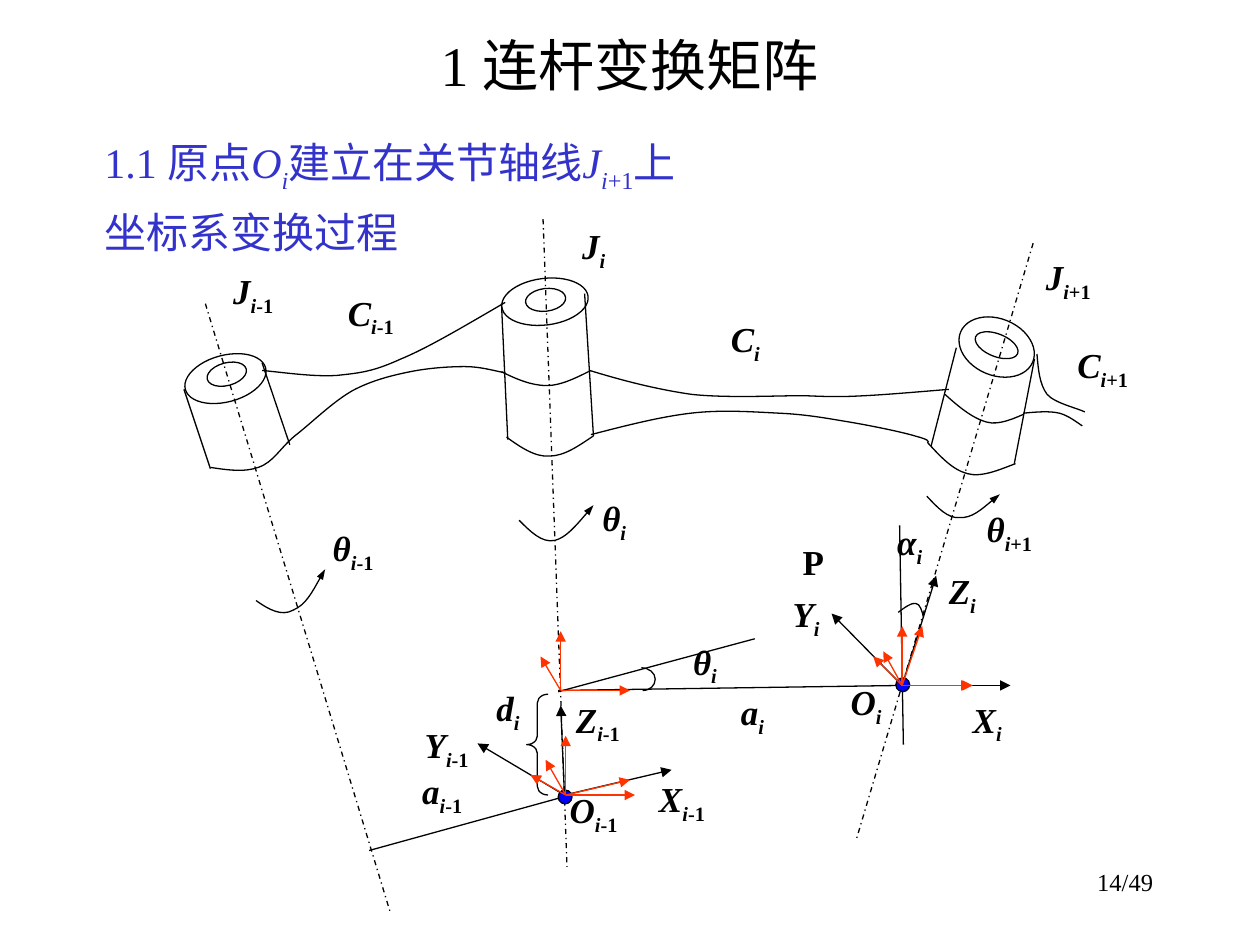
"""Builds the slide on link transformation matrices."""
from lxml import etree
from pptx import Presentation
from pptx.dml.color import RGBColor
from pptx.enum.dml import MSO_LINE
from pptx.enum.shapes import MSO_CONNECTOR, MSO_SHAPE
from pptx.enum.text import MSO_ANCHOR, PP_ALIGN
from pptx.oxml.ns import qn
from pptx.util import Inches, Pt

OVAL, BRACE = MSO_SHAPE.OVAL, MSO_SHAPE.LEFT_BRACE
STRAIGHT = MSO_CONNECTOR.STRAIGHT
DASH_DOT = MSO_LINE.DASH_DOT
LEFT, CENTER, RIGHT, JUSTIFY = (PP_ALIGN.LEFT, PP_ALIGN.CENTER,
                                PP_ALIGN.RIGHT, PP_ALIGN.JUSTIFY)
TOP, MIDDLE = MSO_ANCHOR.TOP, MSO_ANCHOR.MIDDLE
COLORS = {"ink": "000000", "heading": "3333CC", "origin": "0000FF", "frame": "FF3300"}
LABEL_SIZE = (0.58, 0.49)


def color(name):
    return RGBColor.from_string(COLORS[name])


def write(paragraph, text, size=20, ink="ink", bold=False, italic=False, sub=False):
    run = paragraph.add_run()
    run.text = text
    font = run.font
    font.name, font.size, font.bold, font.italic = "Times New Roman", Pt(size), bold, italic
    font.color.rgb = color(ink)
    if sub:
        run._r.get_or_add_rPr().set("baseline", "-25000")


class Diagram:
    """Draws styled elements on one slide."""

    def __init__(self, slide):
        self.slide = slide
        self.shapes = slide.shapes

    def start_group(self):
        self.shapes = self.slide.shapes.add_group_shape().shapes

    def end_group(self):
        self.shapes = self.slide.shapes

    def outline(self, shape, ink="ink", dash=None, arrow=None):
        shape.line.color.rgb = color(ink)
        shape.line.width = Pt(0.75)
        if dash:
            shape.line.dash_style = dash
        if arrow:
            etree.SubElement(shape.line._get_or_add_ln(), qn("a:tailEnd"),
                             type="triangle", w=arrow)

    def line(self, start, end, **style):
        link = self.shapes.add_connector(STRAIGHT, *map(Inches, (*start, *end)))
        self.outline(link, **style)
        etree.SubElement(link._element.spPr, qn("a:effectLst"))

    def shape(self, kind, box, rotation=0, fill=None):
        shape = self.shapes.add_shape(kind, *map(Inches, box))
        shape.shadow.inherit = False
        shape.rotation = rotation
        if fill:
            shape.fill.solid()
            shape.fill.fore_color.rgb = color(fill)
        else:
            shape.fill.background()
        self.outline(shape)
        return shape

    def curve(self, points, rotation=0, arrow=None):
        start, *controls = [tuple(map(Inches, point)) for point in points]
        builder = self.shapes.build_freeform(*start)
        builder.add_line_segments(controls, close=False)
        shape = builder.convert_to_shape()
        steps = list(shape._element.iter(qn("a:lnTo")))
        for first in range(0, len(steps), 3):
            bend = etree.Element(qn("a:cubicBezTo"))
            steps[first].addprevious(bend)
            for step in steps[first:first + 3]:
                bend.append(step[0])
                step.getparent().remove(step)
        shape.shadow.inherit = False
        shape.rotation = rotation
        shape.fill.background()
        self.outline(shape, arrow=arrow)

    def text(self, box, paragraphs, align=LEFT, anchor=TOP, insets=(0.1, 0.05),
             spacing=None, **style):
        frame = self.shapes.add_textbox(*map(Inches, box)).text_frame
        frame.word_wrap = True
        frame.vertical_anchor = anchor
        frame.margin_left = frame.margin_right = Inches(insets[0])
        frame.margin_top = frame.margin_bottom = Inches(insets[1])
        for number, runs in enumerate(paragraphs):
            paragraph = frame.add_paragraph() if number else frame.paragraphs[0]
            paragraph.alignment = align
            if spacing:
                paragraph.line_spacing = spacing
            for words, extra in runs:
                write(paragraph, words, **{**style, **extra})

    def label(self, left, top, symbol, index="i", offset=""):
        runs = [(symbol, {"italic": bool(index)})]
        if index:
            runs.append((index, {"italic": True, "sub": True}))
        if offset:
            runs.append((offset, {"sub": True}))
        self.text((left, top, *LABEL_SIZE), [runs], align=JUSTIFY,
                  insets=(0.02, 0.01), bold=True)

    def axes(self, start, tips, ink="ink"):
        for tip in tips:
            self.line(start, tip, ink=ink, arrow="med")


prs = Presentation()
prs.slide_width, prs.slide_height = Inches(10), Inches(7.5)
diagram = Diagram(prs.slides.add_slide(prs.slide_layouts[6]))

diagram.text((7.17, 6.83, 2.08, 0.5), [[("14/49", {})]], align=RIGHT, size=14)
diagram.text((0.75, 0.17, 8.5, 0.68), [[("1 连杆变换矩阵", {})]],
             align=CENTER, anchor=MIDDLE, size=32)

diagram.start_group()
joint_rims = [
    ((1.64, 2.88, 0.32, 0.18), 345), ((1.46, 2.82, 0.66, 0.37), 345),
    ((4.17, 2.29, 0.32, 0.18), 352.9), ((3.98, 2.21, 0.69, 0.37), 352.9),
    ((7.73, 2.65, 0.36, 0.18), 21.8), ((7.6, 2.53, 0.62, 0.45), 22.6),
]
for box, rotation in joint_rims:
    diagram.shape(OVAL, box, rotation)

joint_sides = [
    ((1.46, 3.09), (1.67, 3.72)), ((2.08, 2.88), (2.3, 3.53)),
    ((3.98, 2.41), (4.03, 3.49)), ((4.64, 2.33), (4.71, 3.46)),
    ((7.59, 2.76), (7.39, 3.54)), ((8.21, 2.85), (8.05, 3.68)),
]
construction_lines = [
    ((2.93, 6.75), (4.49, 6.32)), ((4.43, 5.48), (7.18, 5.44)),
    ((7.14, 4.17), (7.17, 5.91)), ((4.43, 5.49), (5.99, 5.07)),
]
for start, end in joint_sides + construction_lines:
    diagram.line(start, end)

joint_axes = [((1.63, 2.41), (3.1, 7.25)), ((4.31, 1.74), (4.5, 6.88)),
              ((8.2, 1.93), (6.8, 6.65))]
for start, end in joint_axes:
    diagram.line(start, end, dash=DASH_DOT)

link_edges = [
    [(1.67, 3.71), (1.8, 3.73), (1.94, 3.75), (2.05, 3.71), (2.17, 3.67), (2.22, 3.56),
     (2.34, 3.46), (2.47, 3.36), (2.64, 3.19), (2.8, 3.1), (2.95, 3.02), (3.11, 2.98),
     (3.26, 2.95), (3.41, 2.92), (3.57, 2.91), (3.69, 2.91), (3.81, 2.91), (3.91, 2.94),
     (4.01, 2.96)],
    [(3.98, 2.95), (4.1, 3.01), (4.22, 3.06), (4.34, 3.06), (4.45, 3.06), (4.57, 3),
     (4.69, 2.94)],
    [(2.08, 2.94), (2.28, 2.96), (2.49, 2.99), (2.67, 2.98), (2.86, 2.96), (2.96, 2.95),
     (3.18, 2.85), (3.4, 2.76), (3.7, 2.58), (4.01, 2.4)],
    [(4.02, 3.47), (4.13, 3.55), (4.25, 3.63), (4.36, 3.62), (4.48, 3.62), (4.59, 3.54),
     (4.71, 3.46)],
    [(7.5, 3.13), (7.61, 3.23), (7.72, 3.32), (7.83, 3.35), (7.93, 3.38), (8.07, 3.31),
     (8.12, 3.29)],
    [(7.36, 3.51), (7.46, 3.62), (7.56, 3.73), (7.68, 3.76), (7.79, 3.79), (7.93, 3.73),
     (8.06, 3.68)],
    [(4.68, 2.94), (4.94, 3.02), (5.21, 3.09), (5.49, 3.13), (5.77, 3.16), (6.16, 3.14),
     (6.38, 3.14), (6.61, 3.15), (6.68, 3.15), (6.87, 3.14), (7.06, 3.13), (7.29, 3.11),
     (7.53, 3.09)],
    [(4.69, 3.45), (4.96, 3.38), (5.23, 3.31), (5.48, 3.28), (5.73, 3.25), (5.98, 3.27),
     (6.19, 3.28), (6.4, 3.29), (6.56, 3.32), (6.74, 3.35), (6.92, 3.38), (7.16, 3.43),
     (7.26, 3.46), (7.37, 3.49), (7.37, 3.5), (7.37, 3.51)],
    [(8.23, 2.81), (8.24, 2.93), (8.25, 3.05), (8.31, 3.13), (8.37, 3.2), (8.55, 3.24),
     (8.61, 3.27)],
    [(8.12, 3.28), (8.22, 3.27), (8.33, 3.26), (8.41, 3.28), (8.48, 3.3), (8.53, 3.34),
     (8.59, 3.38)],
]
angle_arcs = [
    [(7.13, 4.86), (7.18, 4.82), (7.24, 4.78), (7.27, 4.79), (7.3, 4.79), (7.32, 4.85),
     (7.33, 4.9)],
    [(5.09, 5.3), (5.15, 5.3), (5.2, 5.34), (5.2, 5.39), (5.2, 5.44), (5.16, 5.48),
     (5.1, 5.48)],
]
for points in link_edges + angle_arcs:
    diagram.curve(points)

rotation_arrows = [
    ([(4.12, 4.13), (4.21, 4.22), (4.3, 4.31), (4.4, 4.29), (4.49, 4.27), (4.6, 4.14),
      (4.71, 4.01)], 0),
    ([(2.03, 4.7), (2.11, 4.79), (2.2, 4.87), (2.3, 4.84), (2.41, 4.82), (2.51, 4.7),
      (2.62, 4.58)], 347.1),
    ([(7.35, 3.98), (7.45, 4.06), (7.54, 4.13), (7.63, 4.11), (7.73, 4.1), (7.82, 3.99),
      (7.92, 3.88)], 8.4),
]
for points, rotation in rotation_arrows:
    diagram.curve(points, rotation, arrow="sm")

offset_brace = diagram.shape(BRACE, (4.18, 5.51, 0.17, 0.8))
offset_brace.adjustments[0] = 0.403

labels = [
    (4.6, 1.77, "J"), (1.83, 2.13, "J", "i", "-1"), (8.28, 2.02, "J", "i", "+1"),
    (2.74, 2.3, "C", "i", "-1"), (5.78, 2.51, "C"), (8.53, 2.72, "C", "i", "+1"),
    (3.92, 5.44, "d"), (3.33, 6.1, "a", "i", "-1"), (5.86, 5.47, "a"),
    (5.48, 5.07, "θ"), (7.1, 4.12, "α"), (6.35, 4.28, "P", ""),
    (4.76, 3.93, "θ"), (2.62, 4.17, "θ", "i", "-1"), (7.81, 4.02, "θ", "i", "+1"),
    (7.51, 4.51, "Z"), (7.7, 5.53, "X"), (6.73, 5.39, "O"), (6.27, 4.69, "Y"),
    (4.55, 5.53, "Z", "i", "-1"), (5.21, 6.16, "X", "i", "-1"),
    (4.5, 6.25, "O", "i", "-1"), (3.35, 5.73, "Y", "i", "-1"),
]
for entry in labels:
    diagram.label(*entry)

origin, previous_origin, foot = (7.16, 5.44), (4.49, 6.31), (4.45, 5.48)
diagram.axes(origin, [(6.6, 4.87), (7.43, 4.57), (8.02, 5.44)])
diagram.axes((4.48, 6.31), [(3.79, 5.9), (4.45, 5.6), (5.33, 6.11)])
for left, top in [(7.11, 5.38), (4.43, 6.27)]:
    diagram.shape(OVAL, (left, top, 0.11, 0.11), fill="origin")

moving_frames = [
    (previous_origin, [(5.04, 6.31), (4.33, 6.03)]),
    (foot, [(5, 5.48), (4.29, 5.21), (4.45, 5.01)]),
    (origin, [(7.72, 5.44), (7.01, 5.17), (7.16, 4.97)]),
    (origin, [(7.71, 5.44), (6.93, 5.21), (7.32, 4.97)]),
    (previous_origin, [(5, 6.19), (4.21, 6.15), (4.49, 5.84)]),
]
for start, tips in moving_frames:
    diagram.start_group()
    diagram.axes(start, tips, ink="frame")
diagram.end_group()

italic, sub = {"italic": True}, {"sub": True}
italic_sub = {**italic, **sub}
diagram.text((0.73, 0.92, 8.53, 1.11), [
    [("1.1 原点", {}), ("O", italic), ("i", italic_sub), ("建立在关节轴线", {}),
     ("J", italic), ("i", italic_sub), ("+1", sub), ("上", {})],
    [("坐标系变换过程", {})],
], spacing=1.25, size=24, ink="heading")

prs.save("out.pptx")
